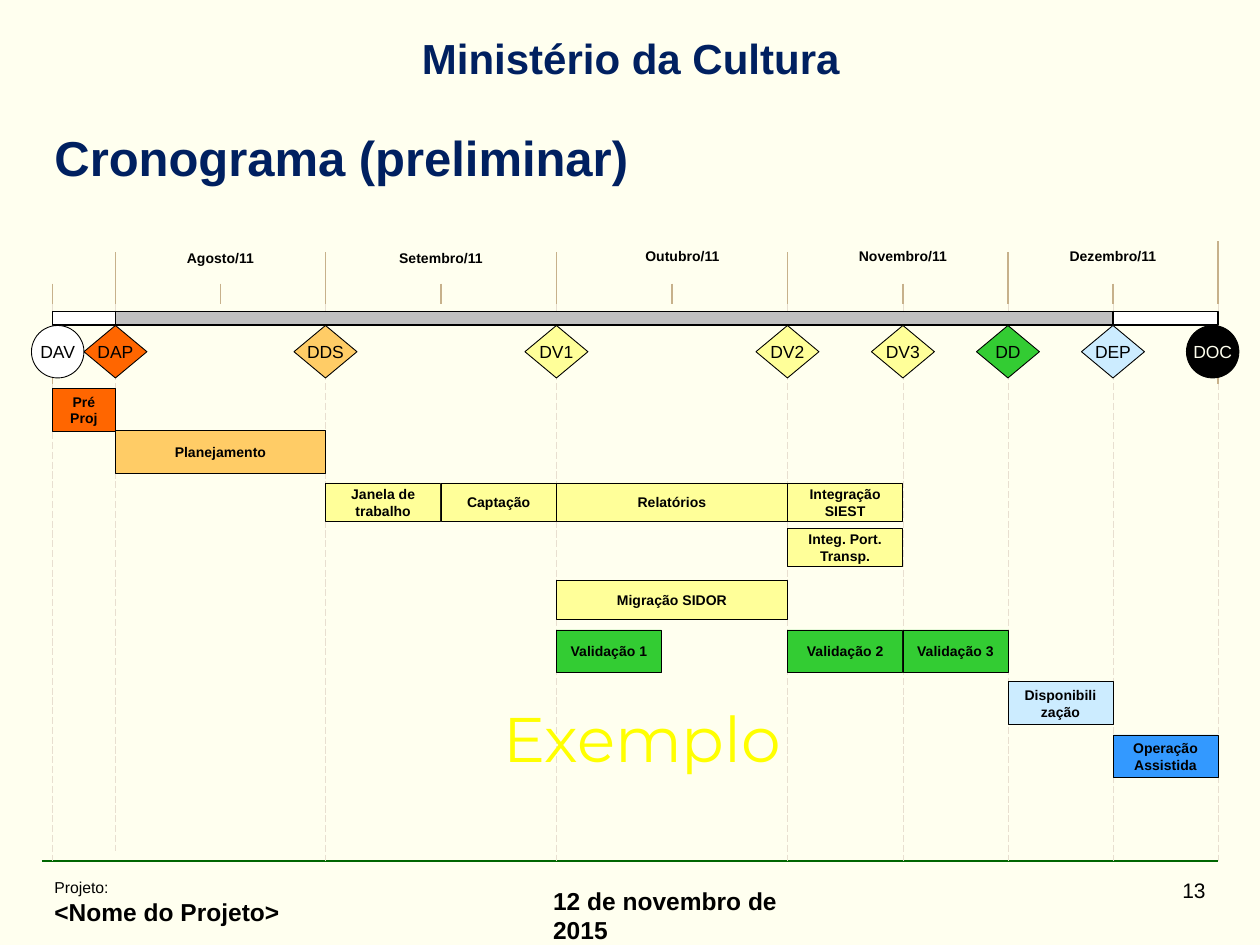
from dataclasses import dataclass

from pptx import Presentation
from pptx.dml.color import RGBColor
from pptx.enum.dml import MSO_LINE
from pptx.enum.shapes import MSO_CONNECTOR, MSO_SHAPE
from pptx.enum.text import MSO_ANCHOR, PP_ALIGN
from pptx.oxml.ns import qn
from pptx.util import Pt
from lxml import etree

STRAIGHT = MSO_CONNECTOR.STRAIGHT
RECTANGLE, DIAMOND, ELLIPSE = MSO_SHAPE.RECTANGLE, MSO_SHAPE.DIAMOND, MSO_SHAPE.OVAL
LEFT, CENTER, RIGHT = PP_ALIGN.LEFT, PP_ALIGN.CENTER, PP_ALIGN.RIGHT
TOP, MIDDLE = MSO_ANCHOR.TOP, MSO_ANCHOR.MIDDLE
LONG_DASH = MSO_LINE.LONG_DASH


@dataclass(frozen=True)
class Theme:
    """Colours, fonts and type sizes of the slide."""
    font: str = "Arial"
    stamp_font: str = "Montserrat"
    background: str = "FFFFEF"
    ink: str = "000000"
    heading: str = "002060"
    stamp: str = "FFFF00"
    rule: str = "006600"
    guide: str = "E8DFD0"
    tick: str = "C7B18B"
    white: str = "FFFFFF"
    gray: str = "C0C0C0"
    orange: str = "FF6600"
    sand: str = "FFCC66"
    yellow: str = "FFFF99"
    green: str = "33CC33"
    sky: str = "CCECFF"
    blue: str = "3399FF"
    title_size: float = 28
    header_size: float = 24
    stamp_size: float = 36
    footer_size: float = 14
    number_size: float = 12
    caption_size: float = 9
    milestone_size: float = 10
    label_size: float = 8


THEME = Theme()
START, DAP, DDS, CAPTURE, DV1, DV2, DV3, DD, DEP, END = (
    30, 66, 186, 252, 318, 450, 516, 576, 636, 696)
GUIDES = (START, DAP, DDS, DV1, DV2, DV3, DD, DEP, END)
TICK_TOPS = {
    144: (DAP, DDS, DV1, DV2, DD),
    162: (START, 126, CAPTURE, 384, DV3, DEP),
    138: (END,),
}
GUIDE_TOP, GUIDE_BOTTOM = 174, 492
BAR_TOP, BAR_HEIGHT = 178, 8
MILESTONE_TOP, MILESTONE_HEIGHT, DIAMOND_WIDTH = 186, 30, 36
TALL, SHORT = 24.5, 22

PHASES = (
    (START, DAP, THEME.white),
    (DAP, DEP, THEME.gray),
    (DEP, END, THEME.white),
)
MILESTONES = (
    ("DAP", DAP, THEME.orange),
    ("DDS", DDS, THEME.sand),
    ("DV1", DV1, THEME.yellow),
    ("DV2", DV2, THEME.yellow),
    ("DV3", DV3, THEME.yellow),
    ("DD", DD, THEME.green),
    ("DEP", DEP, THEME.sky),
)
TASKS = (
    ("Pré Proj", START, DAP, 222, TALL, THEME.orange),
    ("Planejamento", DAP, DDS, 246, TALL, THEME.sand),
    ("Janela de trabalho", DDS, CAPTURE, 276, SHORT, THEME.yellow),
    ("Captação", CAPTURE, DV1, 276, SHORT, THEME.yellow),
    ("Relatórios", DV1, DV2, 276, SHORT, THEME.yellow),
    ("Integração SIEST", DV2, DV3, 276, SHORT, THEME.yellow),
    ("Integ. Port. Transp.", DV2, DV3, 302, SHORT, THEME.yellow),
    ("Migração SIDOR", DV1, DV2, 332, SHORT, THEME.yellow),
    ("Validação 1", DV1, 378, 360, TALL, THEME.green),
    ("Validação 2", DV2, DV3, 360, TALL, THEME.green),
    ("Validação 3", DV3, DD, 360, TALL, THEME.green),
    ("Disponibili zação", DD, DEP, 389.5, TALL, THEME.sky),
    ("Operação Assistida", DEP, END, 420, TALL, THEME.blue),
)
MONTHS = (
    ("Agosto/11", 126, 139),
    ("Setembro/11", 252, 139),
    ("Outubro/11", 390, 138),
    ("Novembro/11", 516, 138),
    ("Dezembro/11", 636, 138),
)


def color(value):
    """Turn a hexadecimal string into a colour."""
    return RGBColor.from_string(value)


def style_paragraph(paragraph, size, bold=False, ink=THEME.ink, align=LEFT, font=THEME.font):
    """Set the alignment and font of a paragraph."""
    paragraph.alignment = align
    paragraph.font.name = font
    paragraph.font.size = Pt(size)
    paragraph.font.bold = bold
    paragraph.font.color.rgb = color(ink)


def add_text(slide, box, lines, anchor=TOP, wrap=True, **style):
    """Add a text box holding lines of (text, size, bold)."""
    frame = slide.shapes.add_textbox(*map(Pt, box)).text_frame
    frame.word_wrap = wrap
    frame.vertical_anchor = anchor
    for index, (text, size, bold) in enumerate(lines):
        paragraph = frame.add_paragraph() if index else frame.paragraphs[0]
        paragraph.text = text
        style_paragraph(paragraph, size, bold, **style)


def add_line(slide, start, end, stroke, width, dash=None):
    """Add a straight line without shadow."""
    connector = slide.shapes.add_connector(STRAIGHT, *map(Pt, (*start, *end)))
    connector.line.color.rgb = color(stroke)
    connector.line.width = Pt(width)
    if dash is not None:
        connector.line.dash_style = dash
    properties = connector._element.find(qn("p:spPr"))
    etree.SubElement(properties, qn("a:effectLst"))


def add_box(slide, kind, box, fill, text="", size=THEME.label_size, bold=False,
            ink=THEME.ink, wrap=True, width=0.5):
    """Add an outlined shape with centred text."""
    shape = slide.shapes.add_shape(kind, *map(Pt, box))
    shape.shadow.inherit = False
    shape.fill.solid()
    shape.fill.fore_color.rgb = color(fill)
    shape.line.color.rgb = color(THEME.ink)
    shape.line.width = Pt(width)
    if text:
        frame = shape.text_frame
        frame.text = text
        frame.word_wrap = wrap
        frame.vertical_anchor = MIDDLE
        style_paragraph(frame.paragraphs[0], size, bold, ink, CENTER)


def add_milestone(slide, kind, left, width, name, fill, ink=THEME.ink):
    """Add a named marker below the time bar."""
    add_box(slide, kind, (left, MILESTONE_TOP, width, MILESTONE_HEIGHT), fill, name,
            THEME.milestone_size, ink=ink, wrap=False)


def add_frame(slide):
    """Add the header, title and footer."""
    add_line(slide, (24, 492), (END, 492), THEME.rule, 0.75)
    add_text(slide, (34, 15, 653, 36), [("Ministério da Cultura", THEME.header_size, True)],
             ink=THEME.heading, align=CENTER)
    add_text(slide, (24, 71.5, 672, 36), [("Cronograma (preliminar)", THEME.title_size, True)],
             anchor=MIDDLE, ink=THEME.heading)
    add_text(slide, (24, 498, 216, 36), [("Projeto:", THEME.caption_size, False),
                                       ("<Nome do Projeto>", THEME.footer_size, True)])
    add_text(slide, (309, 502.5, 158, 22), [("12 de novembro de 2015", THEME.footer_size, True)])
    add_text(slide, (546, 498, 150, 36), [("13", THEME.number_size, False)], align=RIGHT)


def add_timeline(slide):
    """Add the guides, ticks, months and time bar."""
    for x in GUIDES:
        bottom = 486 if x == DAP else GUIDE_BOTTOM
        add_line(slide, (x, GUIDE_TOP), (x, bottom), THEME.guide, 0.5, LONG_DASH)
    for x in (START, END):
        add_line(slide, (x, 195.5), (x, 219.5), THEME.tick, 1)
    for top, positions in TICK_TOPS.items():
        for x in positions:
            add_line(slide, (x, top), (x, 173.5), THEME.tick, 1)
    for name, middle, top in MONTHS:
        add_text(slide, (middle - 36, top, 72, 16.5), [(name, THEME.label_size, True)],
                 align=CENTER)
    for start, end, fill in PHASES:
        add_box(slide, RECTANGLE, (start, BAR_TOP, end - start, BAR_HEIGHT), fill, width=1)


def main():
    """Build the schedule slide and save it."""
    presentation = Presentation()
    presentation.slide_width, presentation.slide_height = Pt(720), Pt(540)
    slide = presentation.slides.add_slide(presentation.slide_layouts[6])
    slide.background.fill.solid()
    slide.background.fill.fore_color.rgb = color(THEME.background)
    add_frame(slide)
    add_timeline(slide)
    for name, x, fill in MILESTONES:
        add_milestone(slide, DIAMOND, x - DIAMOND_WIDTH / 2, DIAMOND_WIDTH, name, fill)
    add_milestone(slide, ELLIPSE, 18, MILESTONE_HEIGHT, "DAV", THEME.white)
    add_milestone(slide, ELLIPSE, 678, MILESTONE_HEIGHT, "DOC", THEME.ink, THEME.background)
    for name, start, end, top, height, fill in TASKS:
        add_box(slide, RECTANGLE, (start, top, end - start, height), fill, name, bold=True)
    add_text(slide, (242, 396, 250, 96.5), [("Exemplo", THEME.stamp_size, False)],
             wrap=False, ink=THEME.stamp, align=CENTER, font=THEME.stamp_font)
    presentation.save("out.pptx")


if __name__ == "__main__":
    main()
